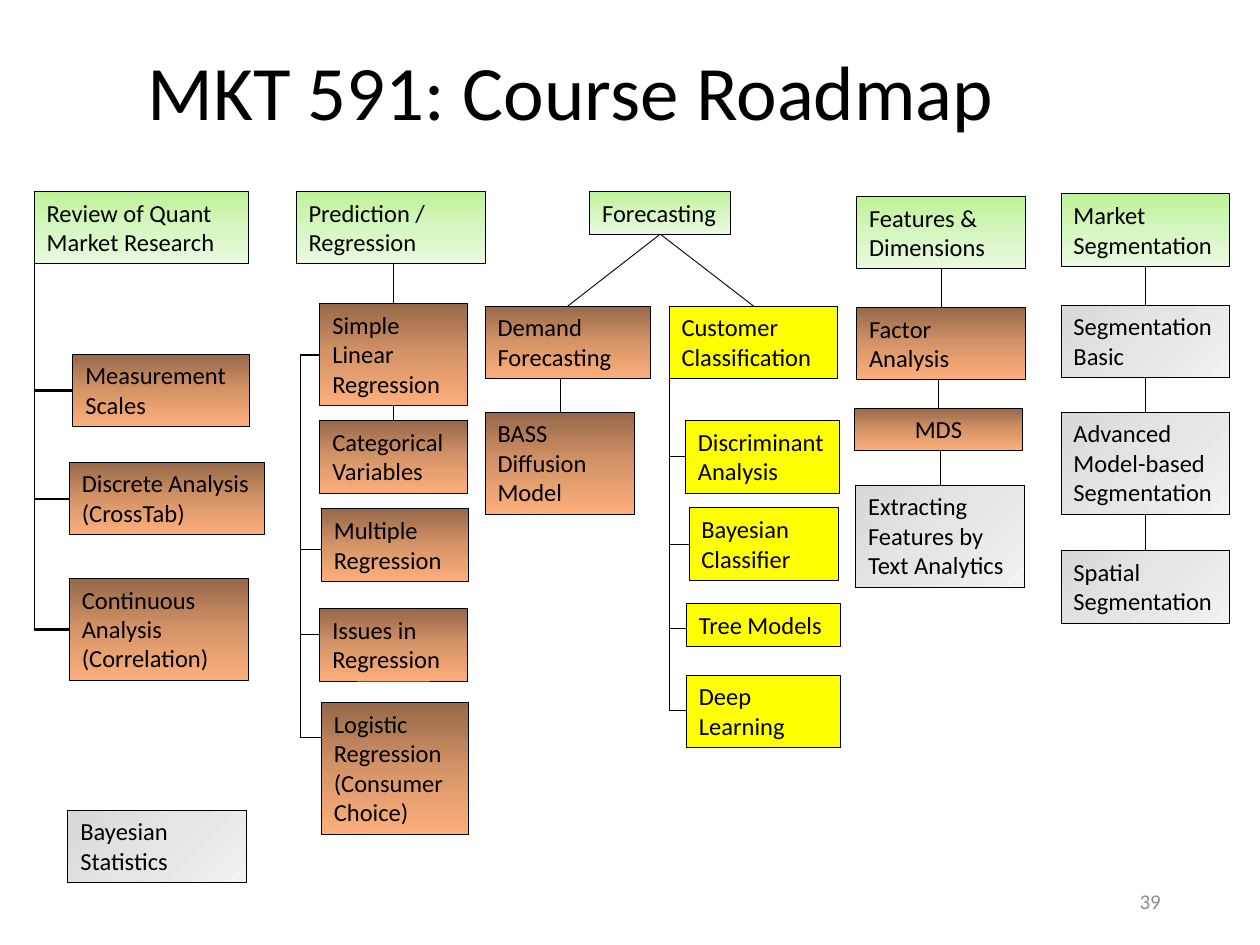
from copy import deepcopy

from pptx import Presentation
from pptx import util as u
from pptx.dml.color import RGBColor
from pptx.enum import shapes, text
from pptx.oxml import ns, xmlchemy

BLACK = RGBColor(0x00, 0x00, 0x00)
GREY = RGBColor(0x8C, 0x8C, 0x8C)
YELLOW = RGBColor(0xFF, 0xFF, 0x00)
GREENS = [RGBColor(0xBE, 0xF2, 0x97), RGBColor(0xD5, 0xF6, 0xC0), RGBColor(0xEA, 0xFA, 0xE0)]
BROWNS = [RGBColor(0x96, 0x68, 0x49), RGBColor(0xD5, 0x94, 0x68), RGBColor(0xFD, 0xAF, 0x7B)]
SILVERS = [RGBColor(0xD8, 0xD8, 0xD8), RGBColor(0xE5, 0xE5, 0xE5), RGBColor(0xF2, 0xF2, 0xF2)]

FONT = "Calibri"
THIN, THICK = 0.5, 1.5
LINE_HEIGHT, BOX_PADDING = 0.6, 0.26
LEFT, CENTER, RIGHT = text.PP_ALIGN.LEFT, text.PP_ALIGN.CENTER, text.PP_ALIGN.RIGHT

# style: colours, gradient angle
STYLES = {
    "topic": (GREENS, 270),
    "core": (BROWNS, 270),
    "extra": (SILVERS, 315),
    "classifier": ([YELLOW], None),
}

BOXES = [
    ("Review of Quant Market Research", "topic", 0.69, 3.86, 4.32, 2),
    ("Measurement Scales", "core", 1.47, 7.14, 3.56, 2),
    ("Discrete Analysis (CrossTab)", "core", 1.4, 9.32, 3.94, 2),
    ("Continuous Analysis (Correlation)", "core", 1.4, 11.66, 3.61, 3),
    ("Bayesian Statistics", "extra", 1.37, 16.33, 3.61, 2),
    ("Prediction / Regression", "topic", 5.97, 3.86, 3.81, 2),
    ("Simple Linear Regression", "core", 6.45, 6.12, 2.97, 3),
    ("Categorical Variables", "core", 6.45, 8.48, 2.97, 2),
    ("Multiple Regression", "core", 6.48, 10.26, 2.97, 2),
    ("Issues in Regression", "core", 6.45, 12.27, 2.97, 2),
    ("Logistic Regression (Consumer Choice)", "core", 6.48, 14.17, 2.97, 4),
    ("Forecasting", "topic", 11.89, 3.86, 2.84, 1),
    ("Demand Forecasting", "core", 9.78, 6.17, 3.33, 2),
    ("BASS Diffusion Model", "core", 9.78, 8.31, 3.02, 3),
    ("Customer Classification", "classifier", 13.49, 6.17, 3.4, 2),
    ("Discriminant Analysis", "classifier", 13.82, 8.48, 3.1, 2),
    ("Bayesian Classifier", "classifier", 13.89, 10.24, 3.02, 2),
    ("Tree Models", "classifier", 13.84, 12.17, 3.1, 1),
    ("Deep Learning", "classifier", 13.84, 13.61, 3.1, 2),
    ("Features & Dimensions", "topic", 17.27, 3.96, 3.4, 2),
    ("Factor Analysis", "core", 17.27, 6.2, 3.4, 2),
    ("MDS", "core", 17.22, 8.23, 3.4, 1),
    ("Extracting Features by Text Analytics", "extra", 17.25, 9.78, 3.4, 3),
    ("Market Segmentation", "topic", 21.39, 3.91, 3.4, 2),
    ("Segmentation Basic", "extra", 21.39, 6.15, 3.4, 2),
    ("Advanced Model-based Segmentation", "extra", 21.39, 8.31, 3.4, 3),
    ("Spatial Segmentation", "extra", 21.39, 11.1, 3.4, 2),
]

CHAINS = [
    ["Prediction / Regression", "Simple Linear Regression", "Categorical Variables"],
    ["Demand Forecasting", "BASS Diffusion Model"],
    ["Features & Dimensions", "Factor Analysis", "MDS", "Extracting Features by Text Analytics"],
    ["Market Segmentation", "Segmentation Basic", "Advanced Model-based Segmentation",
     "Spatial Segmentation"],
]
FORK = ("Forecasting", ["Demand Forecasting", "Customer Classification"])

SPINES = [
    (0.69, 5.31, [("Measurement Scales", 7.87, THICK),
                  ("Discrete Analysis (CrossTab)", 10.06, THICK),
                  ("Continuous Analysis (Correlation)", 12.69, THICK)]),
    (6.05, 7.16, [("Simple Linear Regression", 7.16, THICK),
                  ("Multiple Regression", 11.07, THIN),
                  ("Issues in Regression", 12.78, THIN),
                  ("Logistic Regression (Consumer Choice)", 14.87, THIN)]),
    (13.49, 7.04, [("Discriminant Analysis", 9.2, THIN),
                   ("Bayesian Classifier", 10.97, THIN),
                   ("Tree Models", 12.67, THIN),
                   ("Deep Learning", 14.33, THIN)]),
]


def write(shape, words, size, color, align, anchor):
    frame = shape.text_frame
    frame.word_wrap = True
    frame.vertical_anchor = anchor
    frame.text = words
    paragraph = frame.paragraphs[0]
    paragraph.alignment = align
    font = paragraph.runs[0].font
    font.name, font.size = FONT, u.Pt(size)
    font.color.rgb = color
    return paragraph


def add_label(slide, words, place, size, color, align):
    shape = slide.shapes.add_textbox(*map(u.Cm, place))
    return write(shape, words, size, color, align, text.MSO_ANCHOR.MIDDLE)


def paint(shape, colors, angle):
    fill = shape.fill
    if angle is None:
        fill.solid()
        fill.fore_color.rgb = colors[0]
        return
    fill.gradient()
    fill.gradient_angle = angle
    stop_list = shape._element.spPr.find(".//" + ns.qn("a:gsLst"))
    stop_list.insert(1, deepcopy(stop_list[0]))
    for stop, color, position in zip(fill.gradient_stops, colors, (0, 0.5, 1)):
        stop.color.rgb = color
        stop.position = position


def add_box(slide, words, style, left, top, width, lines):
    height = lines * LINE_HEIGHT + BOX_PADDING
    shape = slide.shapes.add_shape(
        shapes.MSO_SHAPE.RECTANGLE, *map(u.Cm, (left, top, width, height)))
    shape.shadow.inherit = False
    paint(shape, *STYLES[style])
    shape.line.color.rgb = BLACK
    shape.line.width = u.Pt(THIN)
    align = CENTER if words == "MDS" else LEFT
    write(shape, words, 14, BLACK, align, text.MSO_ANCHOR.TOP)


def add_line(slide, start, end, weight=THIN):
    line = slide.shapes.add_connector(
        shapes.MSO_CONNECTOR.STRAIGHT, *map(u.Cm, (*start, *end)))
    line.line.color.rgb = BLACK
    line.line.width = u.Pt(weight)
    line._element.spPr.append(xmlchemy.OxmlElement("a:effectLst"))


def top_center(box):
    _, _, left, top, width, _ = box
    return left + width / 2, top


def bottom_center(box):
    x, top = top_center(box)
    return x, top + box[-1] * LINE_HEIGHT + BOX_PADDING


def main():
    presentation = Presentation()
    presentation.slide_width, presentation.slide_height = u.Cm(25.4), u.Cm(19.05)
    slide = presentation.slides.add_slide(presentation.slide_layouts[6])
    boxes = {box[0]: box for box in BOXES}

    title = add_label(slide, "MKT 591: Course Roadmap", (2.72, 0.08, 18.47, 3.68), 44, BLACK, LEFT)
    title.line_spacing = 0.9
    add_label(slide, "39", (17.93, 17.65, 5.72, 1.02), 12, GREY, RIGHT)

    for chain in CHAINS:
        for parent, child in zip(chain, chain[1:]):
            x, y = top_center(boxes[child])
            add_line(slide, (x, bottom_center(boxes[parent])[1]), (x, y))
    parent, children = FORK
    for child in children:
        add_line(slide, bottom_center(boxes[parent]), top_center(boxes[child]))
    for x, top, branches in SPINES:
        add_line(slide, (x, top), (x, branches[-1][1]))
        for name, y, weight in branches:
            add_line(slide, (x, y), (boxes[name][2], y), weight)

    for box in BOXES:
        add_box(slide, *box)
    presentation.save("out.pptx")


if __name__ == "__main__":
    main()
